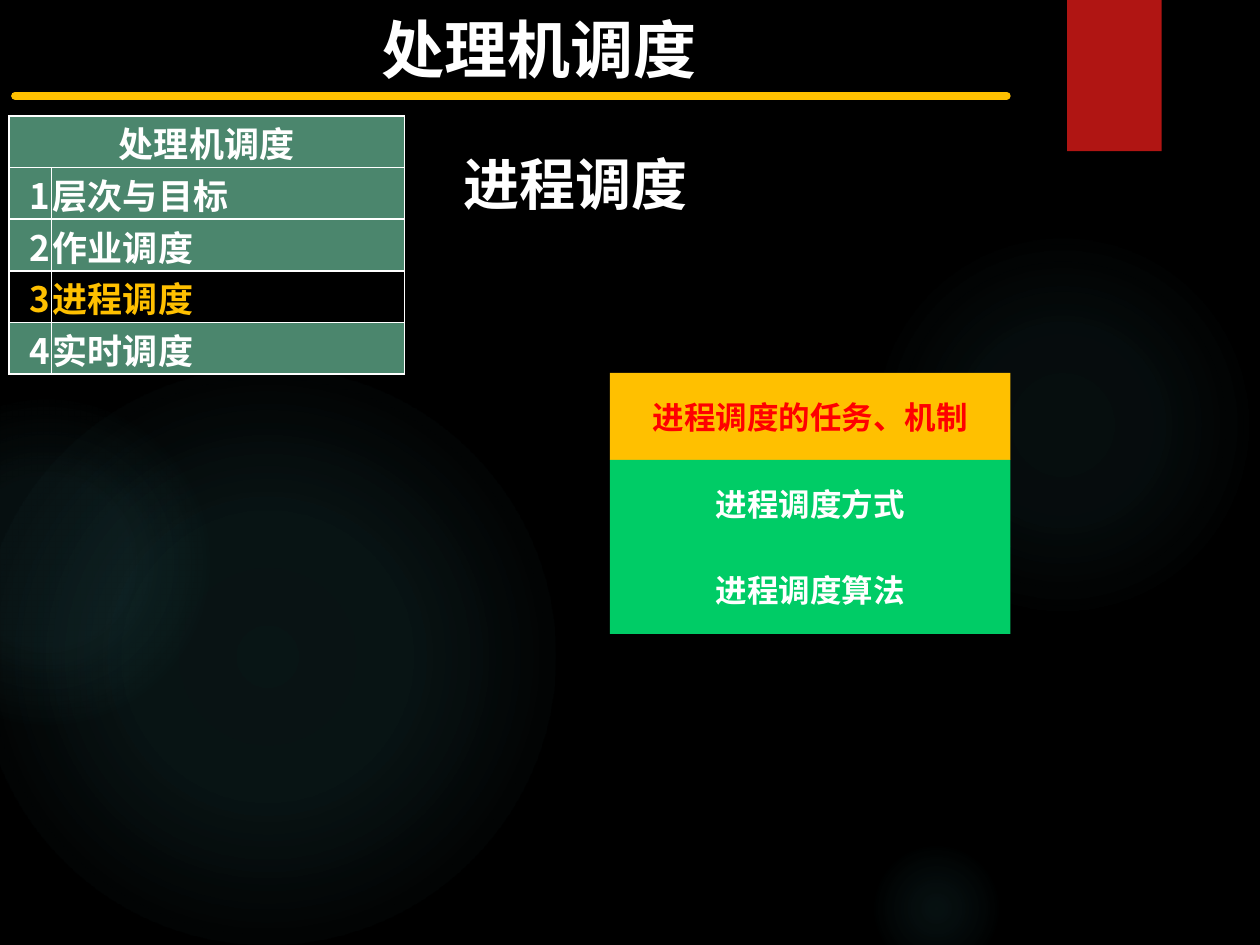
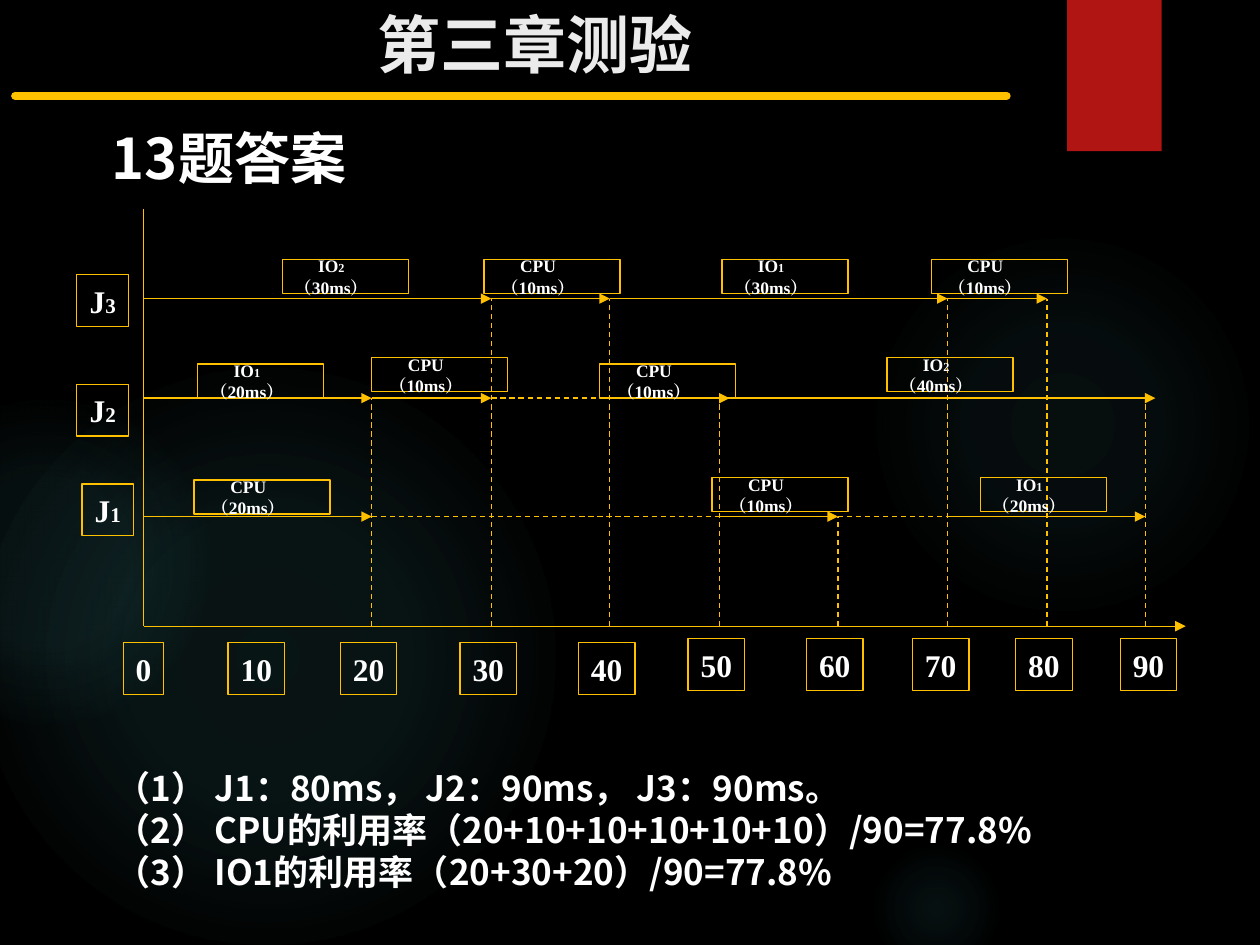
from lxml.etree import SubElement
from pptx import Presentation
from pptx.dml.color import RGBColor
from pptx.enum.dml import MSO_LINE
from pptx.enum.shapes import MSO_CONNECTOR, MSO_SHAPE
from pptx.enum.text import MSO_ANCHOR, PP_ALIGN
from pptx.oxml import parse_xml
from pptx.oxml.ns import nsdecls, qn
from pptx.util import Inches, Pt

SANS, SERIF = "Noto Sans CJK SC", "Times New Roman"
BLACK, WHITE, GOLD = "000000", "FFFFFF", "FFC000"
RED, GREEN, TEAL, GLOW = "B01513", "00CC66", "4B866D", "50B9C1"
LEFT, MID, RIGHT = PP_ALIGN.LEFT, PP_ALIGN.CENTER, PP_ALIGN.RIGHT
PAD = (0.1, 0.05, 0.1, 0.05)

GLOWS = [
    (6.89, 1.83, 3.08, ((0, 7), (36, 6), (69, 0))),
    (6.89, 6.67, 1.08, ((0, 9), (36, 5), (66, 0))),
    (-0.17, 2.92, 4.58, ((0, 11), (36, 10), (75, 0))),
    (-0.92, 3.17, 2.58, ((0, 8), (36, 8), (72, 0))),
]
TOPICS = ["层次与目标", "作业调度", "进程调度", "实时调度"]
STEPS = [
    ("进程调度的任务、机制", GOLD, "FF0000"),
    ("进程调度方式", GREEN, WHITE),
    ("进程调度算法", GREEN, WHITE),
]
BASE = 4.97
TIME = {0: 1.14, 20: 2.95, 30: 3.9, 40: 4.84, 50: 5.71,
        60: 6.65, 70: 7.52, 80: 8.31, 90: 9.09}
TICKS = [1.81, 2.7, 3.65, 4.59, 5.46, 6.4, 7.24, 8.06, 8.89]
JOBS = {1: 4.1, 2: 3.16, 3: 2.37}
MARKS = [("1", 0.65, 3.84), ("2", 0.61, 3.05), ("3", 0.61, 2.18)]
DROPS = {20: 2, 30: 3, 40: 3, 50: 2, 60: 1, 70: 3, 80: 3, 90: 2}
RUNS = [
    (3, 0, 30, 0), (3, 30, 40, 0), (3, 40, 70, 0), (3, 70, 80, 0),
    (2, 0, 20, 0), (2, 20, 30, 0), (2, 40, 50, 0.08), (2, 50, 90, 0.08),
    (1, 0, 20, 0), (1, 50, 60, 0), (1, 70, 90, 0),
]
WAITS = [(2, 30, 40), (1, 20, 50), (1, 60, 70)]
TASKS = [
    ("CPU", "", 20, 1.54, 3.81), ("IO", "1", 20, 1.57, 2.89),
    ("IO", "2", 30, 2.24, 2.06), ("IO", "2", 40, 7.04, 2.84),
    ("IO", "1", 30, 5.73, 2.06), ("IO", "1", 20, 7.78, 3.79),
    ("CPU", "", 10, 5.65, 3.79), ("CPU", "", 10, 4.76, 2.89),
    ("CPU", "", 10, 3.84, 2.06), ("CPU", "", 10, 2.95, 2.84),
    ("CPU", "", 10, 7.39, 2.06),
]
ANSWERS = [
    "（1） J1：80ms， J2：90ms， J3：90ms。",
    "（2） CPU的利用率（20+10+10+10+10+10）/90=77.8%",
    "（3） IO1的利用率（20+30+20）/90=77.8%",
]


def hue(code):
    """Turn a hex string into a colour."""
    return RGBColor.from_string(code)


def style(run, size, color=WHITE, font=SANS):
    """Format one bold run."""
    run.font.size, run.font.bold = Pt(size), True
    run.font.color.rgb = hue(color)
    run.font.name = font
    SubElement(run._r.get_or_add_rPr(), qn("a:ea")).set("typeface", font)


def frame(body, pad=PAD, wrap=True):
    """Set the insets, anchor and wrapping of a text frame."""
    body.margin_left, body.margin_top, body.margin_right, body.margin_bottom = map(Inches, pad)
    body.vertical_anchor = MSO_ANCHOR.MIDDLE
    body.word_wrap = wrap


def write(slide, box, lines, size, color=WHITE, align=LEFT):
    """Add a text box with one paragraph per line."""
    body = slide.shapes.add_textbox(*map(Inches, box)).text_frame
    frame(body)
    body.text = "\n".join(lines)
    for para in body.paragraphs:
        para.alignment = align
        style(para.runs[0], size, color)


def block(slide, kind, box, fill=None, edge=None):
    """Add a flat preset shape."""
    shape = slide.shapes.add_shape(kind, *map(Inches, box))
    shape.shadow.inherit = False
    if fill:
        shape.fill.solid()
        shape.fill.fore_color.rgb = hue(fill)
    else:
        shape.fill.background()
    if edge:
        shape.line.color.rgb = hue(edge)
        shape.line.width = Pt(0.75)
    else:
        shape.line.fill.background()
    return shape


def label(slide, box, parts, pad=PAD, wrap=False):
    """Add a gold outlined box with centred runs of given sizes."""
    body = block(slide, MSO_SHAPE.RECTANGLE, box, edge=GOLD).text_frame
    frame(body, pad, wrap)
    para = body.paragraphs[0]
    para.alignment = MID
    for text, size in parts:
        run = para.add_run()
        run.text = text
        style(run, size, font=SERIF)


def link(slide, start, end, width=0.75, dash=False, arrow=False, cap="flat"):
    """Add a gold line, dashed or with an arrowhead on request."""
    line = slide.shapes.add_connector(MSO_CONNECTOR.STRAIGHT, *map(Inches, (*start, *end)))
    line.line.color.rgb = hue(GOLD)
    line.line.width = Pt(width)
    if dash:
        line.line.dash_style = MSO_LINE.DASH
    props = line.element.spPr
    edge = props.find(qn("a:ln"))
    edge.set("cap", cap)
    if arrow:
        SubElement(edge, qn("a:tailEnd")).set("type", "triangle")
    SubElement(props, qn("a:effectLst"))


def glow(slide, left, top, size, stops):
    """Add a soft round light that fades outwards."""
    shape = block(slide, MSO_SHAPE.OVAL, (left, top, size, size))
    marks = "".join(
        f'<a:gs pos="{pos * 1000}"><a:srgbClr val="{GLOW}">'
        f'<a:alpha val="{alpha * 1000}"/></a:srgbClr></a:gs>' for pos, alpha in stops)
    fade = parse_xml(
        f'<a:gradFill {nsdecls("a")} rotWithShape="1"><a:gsLst>{marks}</a:gsLst>'
        '<a:path path="circle"><a:fillToRect l="50000" t="50000" r="50000" b="50000"/>'
        '</a:path></a:gradFill>')
    props = shape.element.spPr
    props.replace(props.find(qn("a:noFill")), fade)


def start(deck, title, box, color=WHITE):
    """Add a slide with the shared backdrop, band, rule and title."""
    slide = deck.slides.add_slide(deck.slide_layouts[6])
    slide.background.fill.solid()
    slide.background.fill.fore_color.rgb = hue(BLACK)
    for light in GLOWS:
        glow(slide, *light)
    block(slide, MSO_SHAPE.RECTANGLE, (8.47, 0, 0.75, 1.2), RED)
    link(slide, (0.12, 0.76), (7.99, 0.76), 4.5, cap="rnd")
    write(slide, box, [title], 36, color, MID)
    return slide


def fill_cell(cell, text, fill, color, align):
    """Fill one table cell and draw its white borders."""
    cell.margin_left = cell.margin_top = cell.margin_right = Inches(0.01)
    cell.margin_bottom = 0
    cell.vertical_anchor = MSO_ANCHOR.MIDDLE
    cell.text = text
    para = cell.text_frame.paragraphs[0]
    para.alignment = align
    for run in para.runs:
        style(run, 20, color)
    props = cell._tc.get_or_add_tcPr()
    for side in ("lnL", "lnR", "lnT", "lnB"):
        edge = SubElement(props, qn(f"a:{side}"), w=str(Pt(1)))
        SubElement(SubElement(edge, qn("a:solidFill")), qn("a:srgbClr")).set("val", WHITE)
    cell.fill.solid()
    cell.fill.fore_color.rgb = hue(fill)


def menu(slide, current):
    """Add the chapter menu with the current topic marked."""
    rows = len(TOPICS) + 1
    box = map(Inches, (0.07, 0.92, 3.14, 0.41 * rows))
    table = slide.shapes.add_table(rows, 2, *box).table
    for column, width in zip(table.columns, (0.34, 2.8)):
        column.width = Inches(width)
    table.cell(0, 0).merge(table.cell(0, 1))
    fill_cell(table.cell(0, 0), "处理机调度", TEAL, WHITE, MID)
    fill_cell(table.cell(0, 1), "", TEAL, WHITE, MID)
    for row, topic in enumerate(TOPICS, 1):
        fill, color = (BLACK, GOLD) if row == current else (TEAL, WHITE)
        fill_cell(table.cell(row, 0), str(row), fill, color, RIGHT)
        fill_cell(table.cell(row, 1), topic, fill, color, LEFT)


def agenda(slide):
    """Stack the three parts of the topic."""
    for row, (text, fill, color) in enumerate(STEPS):
        box = (4.84, 2.96 + 0.69 * row, 3.18, 0.69)
        body = block(slide, MSO_SHAPE.RECTANGLE, box, fill).text_frame
        frame(body)
        body.text = text
        body.paragraphs[0].alignment = MID
        style(body.paragraphs[0].runs[0], 18, color)


def chart(slide):
    """Draw the schedule of the three jobs over time."""
    link(slide, (TIME[0], 1.66), (TIME[0], BASE))
    link(slide, (TIME[0], BASE), (9.41, BASE), arrow=True)
    label(slide, (0.98, 5.1, 0.32, 0.41), [("0", 18)])
    for tick, left in enumerate(TICKS, 1):
        top = 5.1 if tick < 5 else 5.07
        label(slide, (left, top, 0.45, 0.41), [(str(tick * 10), 18)])
    for job, left, top in MARKS:
        label(slide, (left, top, 0.41, 0.41), [("J", 18), (job, 12)])
    for time, job in DROPS.items():
        link(slide, (TIME[time], BASE), (TIME[time], JOBS[job]), dash=True)
    for job, begin, end in WAITS:
        link(slide, (TIME[begin], JOBS[job]), (TIME[end], JOBS[job]), dash=True)
    for job, begin, end, extra in RUNS:
        link(slide, (TIME[begin], JOBS[job]), (TIME[end] + extra, JOBS[job]), arrow=True)
    for unit, index, span, left, top in TASKS:
        parts = [(unit, 10), (index, 7), (f"（{span}ms）", 10)]
        width = 1 if index else 1.08
        label(slide, (left, top, width, 0.27), [part for part in parts if part[0]],
              (0, 0.05, 0.22, 0.05), True)


def main():
    """Build both slides and save the deck."""
    deck = Presentation()
    deck.slide_width, deck.slide_height = Inches(10), Inches(7.5)

    topic = start(deck, "处理机调度", (0.01, 0.03, 8.53, 0.71))
    menu(topic, 3)
    agenda(topic)
    write(topic, (3.58, 1.14, 6.3, 0.63), ["进程调度"], 32)

    quiz = start(deck, "第三章测验", (0, 0, 8.49, 0.68), "EBEBEB")
    chart(quiz)
    write(quiz, (0.82, 5.93, 8.37, 1.3), ANSWERS, 20)
    write(quiz, (0.79, 0.79, 8.5, 0.92), ["13题答案"], 32)

    deck.save("out.pptx")


if __name__ == "__main__":
    main()
